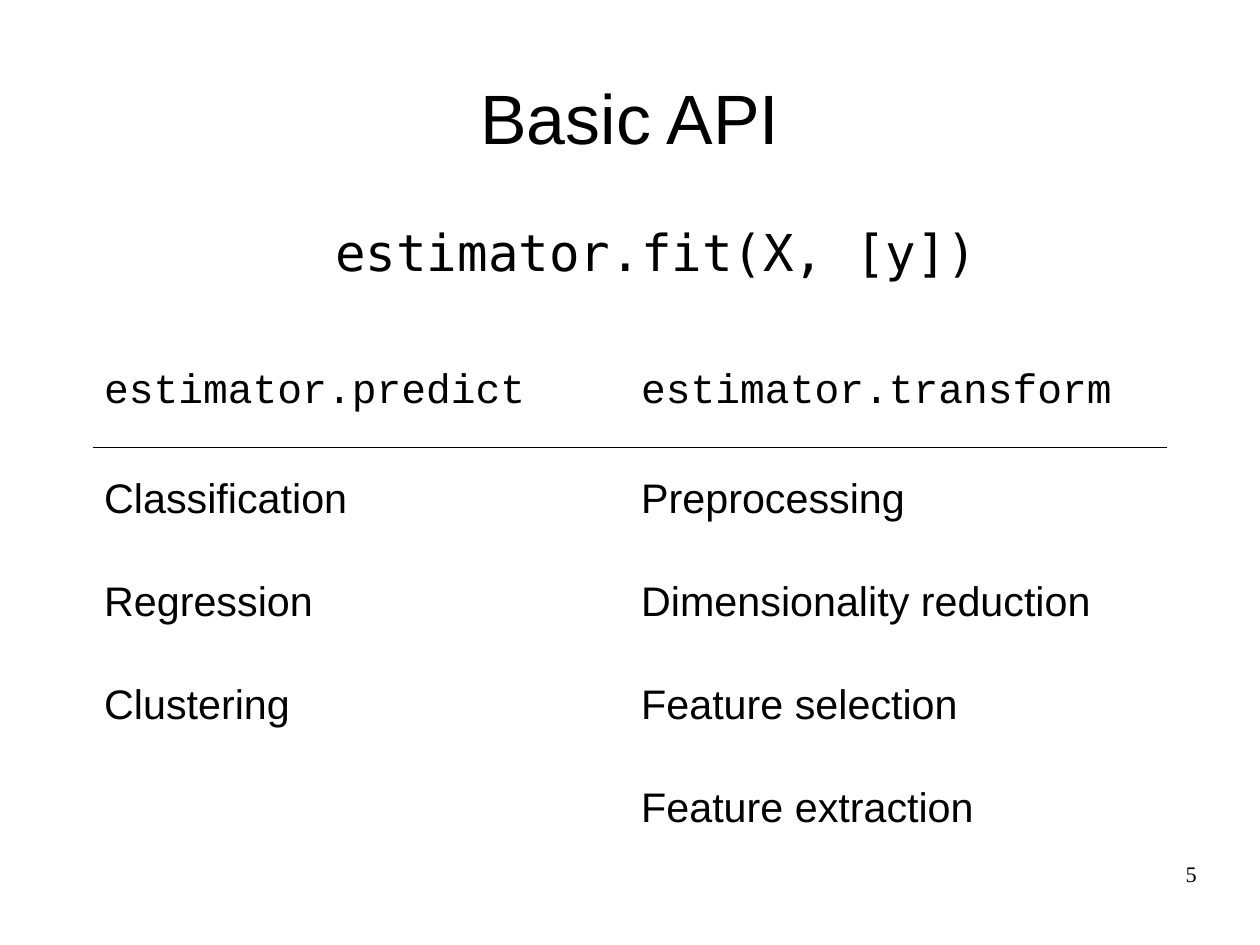
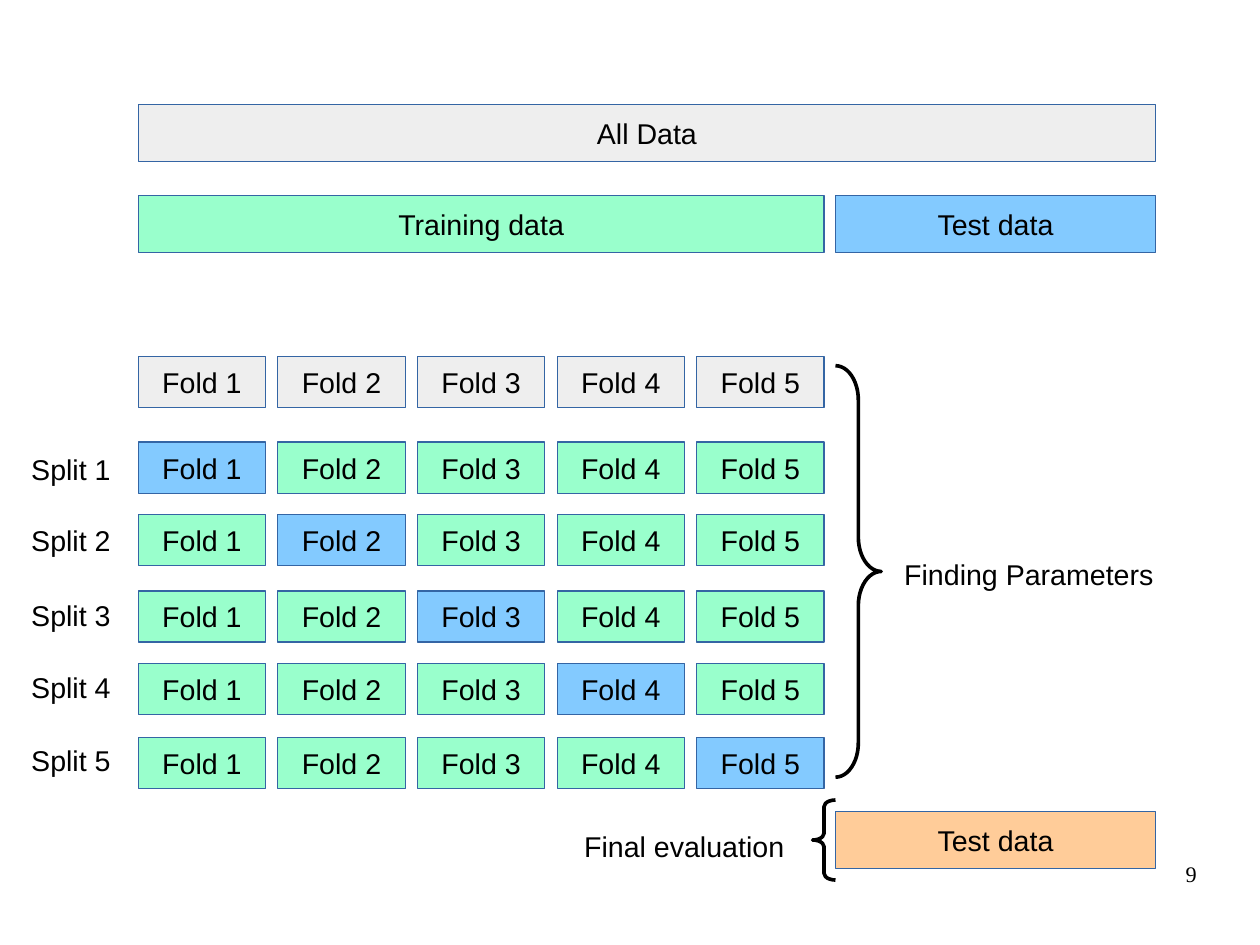
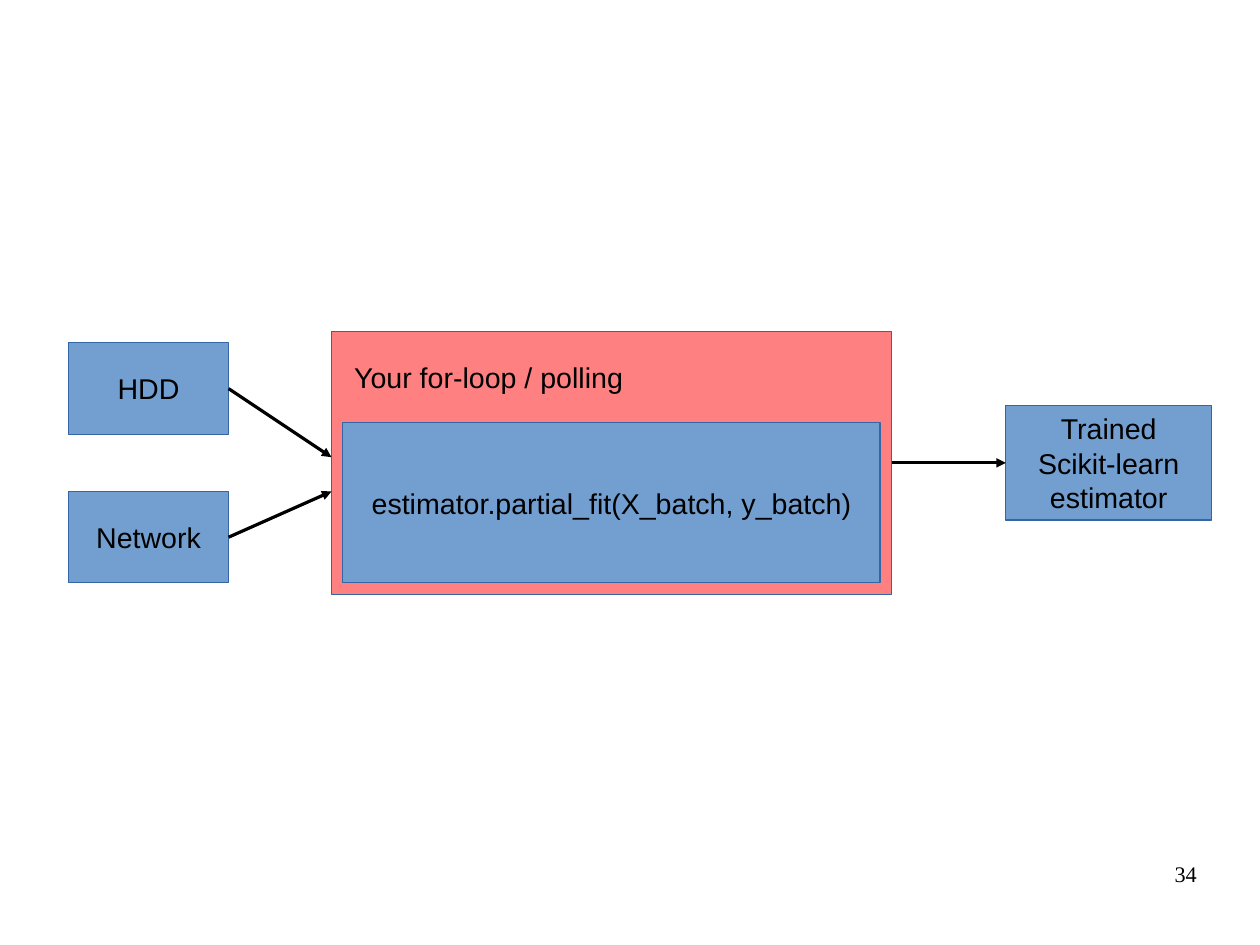
from dataclasses import dataclass

from pptx import Presentation
from pptx.dml.color import RGBColor
from pptx.enum.shapes import MSO_CONNECTOR, MSO_SHAPE
from pptx.enum.text import MSO_ANCHOR, PP_ALIGN
from pptx.oxml import parse_xml
from pptx.oxml.ns import nsdecls, qn
from pptx.slide import Slide
from pptx.text.text import TextFrame
from pptx.util import Pt


# Theme: colours, fonts and type sizes
@dataclass(frozen=True)
class Theme:
    ink: str = "000000"
    paper: str = "FFFFFF"
    outline: str = "3465A4"
    grey: str = "EEEEEE"
    green: str = "99FFCC"
    sky: str = "83CAFF"
    orange: str = "FFCC99"
    blue: str = "729FCF"
    red: str = "FF8080"
    sans: str = "Arial"
    serif: str = "Times New Roman"
    code: str = "DejaVu Sans Mono"
    table_code: str = "Courier New"
    title_size: float = 44
    code_size: float = 32
    table_size: float = 26
    label_size: float = 18
    number_size: float = 14
    hairline: float = 0
    rule: float = 1.13
    brace: float = 2.3


THEME = Theme()
NO_TABLE_STYLE = "{2D5ABB26-0587-4C30-8999-92F81FD0307C}"


# Repeated elements, all lengths in points
@dataclass(frozen=True)
class Area:
    left: float
    top: float
    width: float
    height: float

    def place(self) -> tuple[Pt, Pt, Pt, Pt]:
        return Pt(self.left), Pt(self.top), Pt(self.width), Pt(self.height)


@dataclass(frozen=True)
class Block:
    text: str
    area: Area
    fill: str


@dataclass(frozen=True)
class Label:
    text: str
    area: Area


@dataclass(frozen=True)
class Brace:
    kind: MSO_SHAPE
    area: Area
    curve: float


@dataclass(frozen=True)
class Arrow:
    start: tuple[float, float]
    end: tuple[float, float]


@dataclass(frozen=True)
class SplitRow:
    fold_top: float
    label_top: float


# Drawing functions
def write(frame: TextFrame, text: str, *, size: float = THEME.label_size,
          font: str = THEME.sans, align: PP_ALIGN = PP_ALIGN.LEFT) -> None:
    for index, line in enumerate(text.split("\n")):
        para = frame.add_paragraph() if index else frame.paragraphs[0]
        para.alignment = align
        span = para.add_run()
        span.text = line
        span.font.size = Pt(size)
        span.font.name = font
        span.font.color.rgb = RGBColor.from_string(THEME.ink)


def draw_text(page: Slide, text: str, area: Area, *, inset: bool = False,
              anchor: MSO_ANCHOR = MSO_ANCHOR.TOP, **text_format) -> None:
    frame = page.shapes.add_textbox(*area.place()).text_frame
    frame.word_wrap = True
    frame.vertical_anchor = anchor
    frame.margin_left = frame.margin_right = Pt(7.2 if inset else 0)
    frame.margin_top = frame.margin_bottom = Pt(3.6 if inset else 0)
    write(frame, text, **text_format)


def draw_label(page: Slide, label: Label) -> None:
    draw_text(page, label.text, label.area, inset=True)


def draw_block(page: Slide, block: Block) -> None:
    box = page.shapes.add_shape(MSO_SHAPE.RECTANGLE, *block.area.place())
    box.shadow.inherit = False
    box.fill.solid()
    box.fill.fore_color.rgb = RGBColor.from_string(block.fill)
    box.line.color.rgb = RGBColor.from_string(THEME.outline)
    box.line.width = Pt(THEME.hairline)
    if block.text:
        box.text_frame.word_wrap = False
        box.text_frame.vertical_anchor = MSO_ANCHOR.MIDDLE
        write(box.text_frame, block.text, align=PP_ALIGN.CENTER)


def draw_brace(page: Slide, brace: Brace) -> None:
    shape = page.shapes.add_shape(brace.kind, *brace.area.place())
    shape.shadow.inherit = False
    shape.fill.background()
    shape.line.color.rgb = RGBColor.from_string(THEME.ink)
    shape.line.width = Pt(THEME.brace)
    shape.adjustments[0] = brace.curve


def draw_arrow(page: Slide, arrow: Arrow) -> None:
    points = [Pt(value) for value in (*arrow.start, *arrow.end)]
    line = page.shapes.add_connector(MSO_CONNECTOR.STRAIGHT, *points)
    line.line.color.rgb = RGBColor.from_string(THEME.ink)
    line.line.width = Pt(THEME.hairline)
    properties = line.element.spPr
    properties.find(qn("a:ln")).append(
        parse_xml(f'<a:tailEnd {nsdecls("a")} type="triangle"/>'))
    properties.append(parse_xml(f'<a:effectLst {nsdecls("a")}/>'))


def draw_table(page: Slide, rows: list[tuple[str, str]], area: Area,
               header_height: float) -> None:
    holder = page.shapes.add_table(len(rows), len(rows[0]), *area.place())
    for style in holder.element.iter(qn("a:tableStyleId")):
        style.text = NO_TABLE_STYLE
    table = holder.table
    table.first_row = table.horz_banding = False
    row_height = (area.height - header_height) / (len(rows) - 1)
    for row_index, texts in enumerate(rows):
        header = row_index == 0
        table.rows[row_index].height = Pt(header_height if header else row_height)
        for column_index, text in enumerate(texts):
            cell = table.cell(row_index, column_index)
            cell.vertical_anchor = MSO_ANCHOR.MIDDLE
            if text:
                write(cell.text_frame, text, size=THEME.table_size,
                      font=THEME.table_code if header else THEME.sans)
            if header:
                cell.fill.solid()
                cell.fill.fore_color.rgb = RGBColor.from_string(THEME.paper)
            else:
                cell.fill.background()
    # Rule under the header row
    header_row = next(holder.element.iter(qn("a:tr")))
    for properties in header_row.iter(qn("a:tcPr")):
        properties.insert(0, parse_xml(
            f'<a:lnB {nsdecls("a")} w="{int(Pt(THEME.rule))}"><a:solidFill>'
            f'<a:srgbClr val="{THEME.ink}"/></a:solidFill></a:lnB>'))


def add_page(deck: Presentation, number: int) -> Slide:
    page = deck.slides.add_slide(deck.slide_layouts[6])
    draw_text(page, str(number), Area(568.8, 542.2, 185.1, 41),
              size=THEME.number_size, font=THEME.serif, align=PP_ALIGN.RIGHT)
    return page


# Slides
def build_api(deck: Presentation) -> None:
    page = add_page(deck, 5)
    draw_text(page, "Basic API", Area(39.6, 23.8, 714.3, 99.4),
              anchor=MSO_ANCHOR.MIDDLE, size=THEME.title_size,
              align=PP_ALIGN.CENTER)
    draw_text(page, "estimator.fit(X, [y])", Area(73.4, 139, 680.5, 60),
              size=THEME.code_size, font=THEME.code, align=PP_ALIGN.CENTER)
    draw_table(page, [
        ("estimator.predict", "estimator.transform"),
        ("Classification", "Preprocessing"),
        ("Regression", "Dimensionality reduction"),
        ("Clustering", "Feature selection"),
        ("", "Feature extraction"),
    ], Area(58.4, 213, 676.6, 328.6), header_height=69)


def build_cross_validation(deck: Presentation) -> None:
    page = add_page(deck, 9)
    left, bar_height = 87.1, 36
    test_left, test_width = 526.3, 201.6

    # Data bars
    for block in (
        Block("All Data", Area(left, 65.7, 640.8, bar_height), THEME.grey),
        Block("Training data", Area(left, 123, 432, bar_height), THEME.green),
        Block("Test data", Area(test_left, 123, test_width, bar_height), THEME.sky),
        Block("Test data", Area(test_left, 511, test_width, bar_height), THEME.orange),
    ):
        draw_block(page, block)

    # Fold grid: the held-out fold moves along the diagonal
    fold_count, fold_width, fold_height = 5, 80.2, 32.2
    pitch = (432 - fold_width) / (fold_count - 1)

    def draw_folds(top: float, fills: list[str]) -> None:
        for index, fill in enumerate(fills):
            area = Area(left + index * pitch, top, fold_width, fold_height)
            draw_block(page, Block(f"Fold {index + 1}", area, fill))

    draw_folds(224.5, [THEME.grey] * fold_count)
    splits = (SplitRow(278.5, 280.9), SplitRow(324, 325.8), SplitRow(372.3, 373.4),
              SplitRow(417.8, 418.5), SplitRow(464.4, 464.5))
    for split, row in enumerate(splits):
        draw_folds(row.fold_top, [THEME.sky if fold == split else THEME.green
                                  for fold in range(fold_count)])
        draw_label(page, Label(f"Split {split + 1}",
                               Area(12.6, row.label_top, 66, 27.4)))

    # Braces and their labels
    for brace in (
        Brace(MSO_SHAPE.RIGHT_BRACE, Area(526.3, 230.4, 28.8, 259.2), 0.75),
        Brace(MSO_SHAPE.LEFT_BRACE, Area(511.9, 504, 14.4, 50.4), 0.29),
    ):
        draw_brace(page, brace)
    for label in (
        Label("Finding Parameters", Area(562.5, 347.3, 193.7, 27.4)),
        Label("Final evaluation", Area(360.9, 518.6, 144, 27.4)),
    ):
        draw_label(page, label)


def build_streaming(deck: Presentation) -> None:
    page = add_page(deck, 34)
    for block in (
        Block("HDD", Area(43.2, 216, 100.8, 57.6), THEME.blue),
        Block("Network", Area(43.2, 309.6, 100.8, 57.6), THEME.blue),
        Block("", Area(208.8, 208.8, 352.8, 165.6), THEME.red),
        Block("estimator.partial_fit(X_batch, y_batch)",
              Area(216, 266.4, 338.4, 100.8), THEME.blue),
        Block("Trained\nScikit-learn\nestimator",
              Area(633.6, 255.6, 129.6, 72), THEME.blue),
    ):
        draw_block(page, block)
    draw_label(page, Label("Your for-loop / polling", Area(216, 223.2, 316.8, 47.5)))
    for arrow in (
        Arrow((144, 244.8), (208.8, 288)),
        Arrow((144, 338.4), (208.8, 309.6)),
        Arrow((561.6, 291.6), (633.6, 291.6)),
    ):
        draw_arrow(page, arrow)


def main() -> None:
    deck = Presentation()
    deck.slide_width, deck.slide_height = Pt(793.7), Pt(595.3)
    build_api(deck)
    build_cross_validation(deck)
    build_streaming(deck)
    deck.save("out.pptx")


if __name__ == "__main__":
    main()
